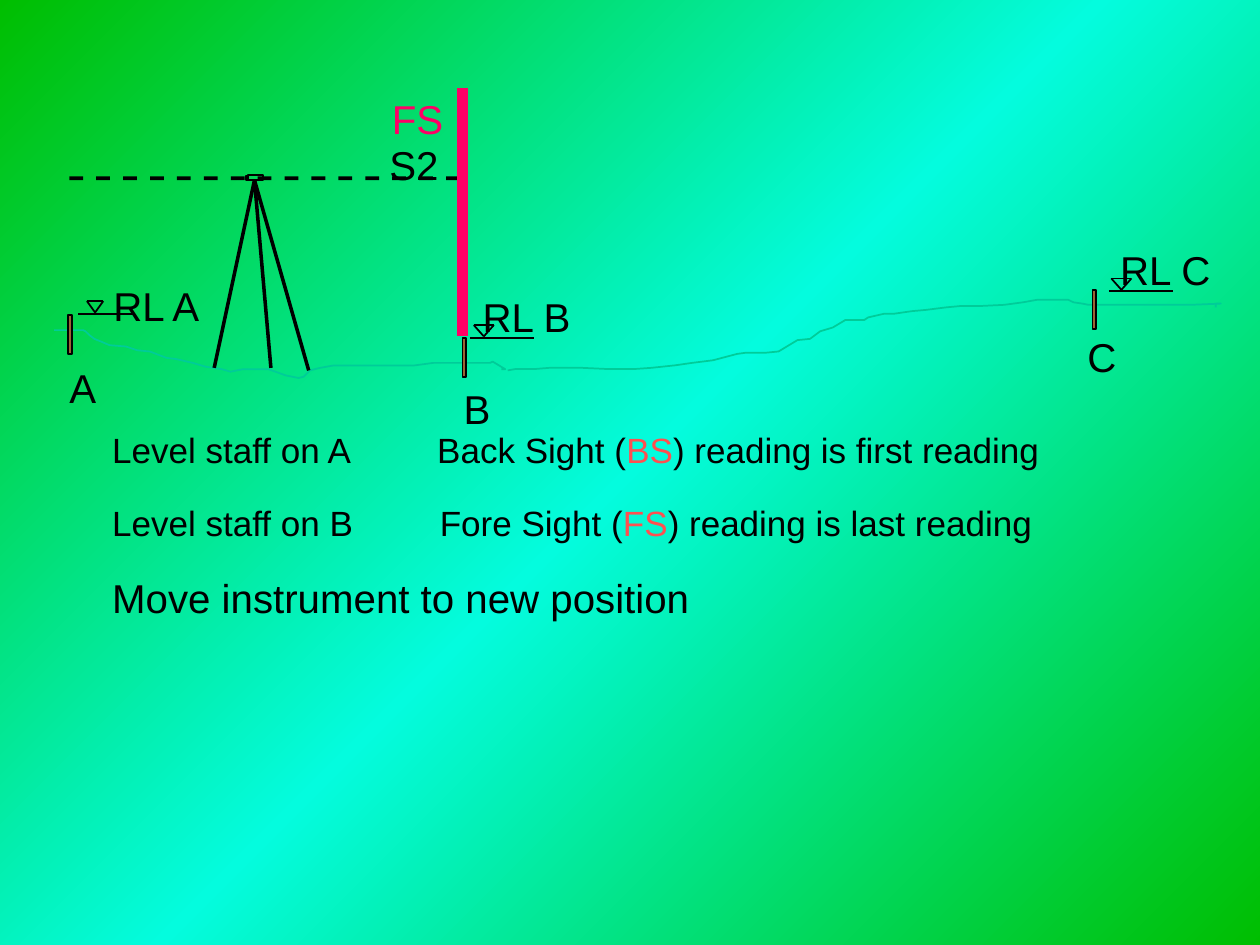
import copy

import pptx
import pptx.dml.color
import pptx.enum.shapes
import pptx.enum.text
import pptx.oxml
import pptx.oxml.ns
import pptx.util
from pptx.util import Inches

BLACK, PEG, GROUND = "000000", "996633", "00CC99"
STAFF, HIGHLIGHT = "FF0066", "FF5050"
LABEL_SIZE, NOTE_SIZE = 23, 20

# Ground outlines, in hundredths of an inch from the left and top of their box
GROUND_A_TO_B = [
    (0, 0), (23, 0), (25, 1), (28, 4), (32, 7), (37, 9), (44, 12), (57, 13),
    (66, 16), (76, 17), (89, 22), (97, 23), (110, 26), (120, 29), (133, 31),
    (140, 33), (145, 32), (150, 31), (170, 31), (184, 36), (194, 38), (198, 37),
    (203, 32), (211, 30), (222, 28), (286, 28), (301, 26), (346, 26), (348, 25),
    (358, 31), (355, 31),
]
GROUND_B_TO_C = [
    (0, 56), (6, 55), (21, 55), (33, 54), (59, 54), (80, 55), (100, 55), (114, 54),
    (133, 52), (147, 50), (163, 48), (182, 43), (189, 42), (205, 42), (215, 41),
    (225, 35), (230, 32), (240, 31), (248, 25), (258, 22), (268, 16), (283, 16),
    (286, 14), (299, 11), (307, 11), (321, 9), (332, 8), (348, 6), (359, 5),
    (374, 5), (394, 4), (409, 2), (420, 0), (445, 0), (449, 2), (456, 3), (461, 4),
    (542, 4), (566, 3), (562, 3), (562, 6),
]


def color(value):
    return pptx.dml.color.RGBColor.from_string(value)


def add_text(slide, left, top, width, text, size=LABEL_SIZE, fill=BLACK, marked=None):
    """Add one line of text; the part equal to marked is highlighted."""
    height = 0.38 if size == LABEL_SIZE else 0.33
    box = slide.shapes.add_textbox(Inches(left), Inches(top), Inches(width), Inches(height))
    frame = box.text_frame
    frame.word_wrap = False
    frame.auto_size = pptx.enum.text.MSO_AUTO_SIZE.SHAPE_TO_FIT_TEXT
    frame.margin_left = frame.margin_right = frame.margin_top = frame.margin_bottom = 0
    paragraph = frame.paragraphs[0]
    for part in text.partition(marked) if marked else [text]:
        run = paragraph.add_run()
        run.text = part
        run.font.name = "Arial"
        run.font.size = pptx.util.Pt(size)
        run.font.color.rgb = color(HIGHLIGHT if part == marked else fill)


def add_line(slide, start, end, line=BLACK, width=1):
    connector = slide.shapes.add_connector(
        pptx.enum.shapes.MSO_CONNECTOR.STRAIGHT,
        Inches(start[0]), Inches(start[1]), Inches(end[0]), Inches(end[1]))
    connector.line.color.rgb = color(line)
    connector.line.width = pptx.util.Pt(width)
    connector._element.spPr.append(pptx.oxml.parse_xml(
        f"<a:effectLst {pptx.oxml.ns.nsdecls('a')}/>"))


def format_shape(shape, fill=None, line=None):
    shape.shadow.inherit = False
    if fill:
        shape.fill.solid()
        shape.fill.fore_color.rgb = color(fill)
    else:
        shape.fill.background()
    if line:
        shape.line.color.rgb = color(line)
        shape.line.width = pptx.util.Pt(1)
    else:
        shape.line.fill.background()


def add_rectangle(slide, left, top, width, height, fill=None, line=None):
    shape = slide.shapes.add_shape(
        pptx.enum.shapes.MSO_SHAPE.RECTANGLE,
        Inches(left), Inches(top), Inches(width), Inches(height))
    format_shape(shape, fill, line)


def set_background(slide):
    fill = slide.background.fill
    fill.gradient()
    fill.gradient_angle = 135
    first = next(slide._element.iter(pptx.oxml.ns.qn("a:gs")))
    first.addnext(copy.deepcopy(first))
    stops = [(0, "00BE00"), (0.5, "04FCDE"), (1, "00BE00")]
    for stop, (position, value) in zip(fill.gradient_stops, stops):
        stop.position = position
        stop.color.rgb = color(value)


def add_ground(slide, left, top, offsets):
    points = [(Inches(left + x / 100), Inches(top + y / 100)) for x, y in offsets]
    builder = slide.shapes.build_freeform(*points[0])
    builder.add_line_segments(points[1:], close=False)
    format_shape(builder.convert_to_shape(), line=GROUND)


def add_station(slide, left, top, letter, letter_at, level_at, mark, triangle):
    """Add a peg with its letter and level mark; offsets count from the peg.

    mark is left, top and width of the level line, triangle is left and width.
    """
    add_rectangle(slide, left, top, 0.03, 0.31, PEG, BLACK)
    add_text(slide, left + letter_at[0], top + letter_at[1], 0.22, letter)

    mark_left, level, mark_right = left + mark[0], top + mark[1], left + mark[0] + mark[2]
    add_line(slide, (mark_left, level), (mark_right, level))
    tip_left = left + triangle[0]
    tip_right, middle = tip_left + triangle[1], tip_left + triangle[1] / 2
    add_line(slide, (tip_left, level - 0.1), (tip_right, level - 0.1))
    for corner in (tip_left, tip_right):
        add_line(slide, (corner, level - 0.1), (middle, level - 0.01))
    add_text(slide, left + level_at[0], top + level_at[1], 0.72, f"RL {letter}")


def add_instrument(slide, left, top):
    """Add the tripod and telescope, with the apex of the legs 0.04 below top."""
    add_rectangle(slide, left, top, 0.12, 0.04, line=BLACK)
    add_rectangle(slide, left - 0.02, top + 0.01, 0.02, 0.03, line=BLACK)
    apex = (left + 0.05, top + 0.04)
    for across, down in [(-0.32, 1.49), (0.43, 1.51), (0.13, 1.49)]:
        add_line(slide, apex, (apex[0] + across, apex[1] + down), width=2)


def add_sight_line(slide, left, top, width, count=15, dash=0.11):
    pitch = (width - dash) / (count - 1)
    for index in range(count):
        add_rectangle(slide, left + index * pitch, top, dash, 0.03, fill=BLACK)


def add_staff(slide, left, top, height):
    add_line(slide, (left, top), (left, top + height), STAFF, 6)
    add_text(slide, left - 0.58, top + 0.41, 0.41, "S2")
    add_text(slide, left - 0.56, top + 0.05, 0.41, "FS", fill=STAFF)


def add_notes(slide, left, top):
    rows = [
        ("Level staff on A", 2.58, "Back Sight (BS) reading is first reading", "BS"),
        ("Level staff on B", 2.6, "Fore Sight (FS) reading is last reading", "FS"),
    ]
    for index, (staff, indent, reading, marked) in enumerate(rows):
        row_top = top + index * 0.58
        add_text(slide, left, row_top, 1.92, staff, NOTE_SIZE)
        add_text(slide, left + indent, row_top, 4.78, reading, NOTE_SIZE, marked=marked)
    add_text(slide, left, top + 1.15, 4.59, "Move instrument to new position")


def main():
    presentation = pptx.Presentation()
    presentation.slide_width, presentation.slide_height = Inches(10), Inches(7.5)
    slide = presentation.slides.add_slide(presentation.slide_layouts[6])
    set_background(slide)
    add_ground(slide, 0.43, 2.62, GROUND_A_TO_B)
    add_ground(slide, 4.03, 2.38, GROUND_B_TO_C)
    add_station(slide, 0.54, 2.5, "A", (0.01, 0.38), (0.36, -0.27),
                (0.08, -0.01, 0.44), (0.15, 0.13))
    add_station(slide, 3.67, 2.68, "B", (0.01, 0.37), (0.16, -0.36),
                (0.06, 0, 0.51), (0.09, 0.16))
    add_station(slide, 8.67, 2.3, "C", (-0.04, 0.34), (0.22, -0.35),
                (0.13, 0.01, 0.51), (0.15, 0.16))
    add_instrument(slide, 1.97, 1.39)
    add_sight_line(slide, 0.55, 1.4, 3.1)
    add_staff(slide, 3.67, 0.7, 1.97)
    add_notes(slide, 0.89, 3.4)
    presentation.save("out.pptx")


if __name__ == "__main__":
    main()
